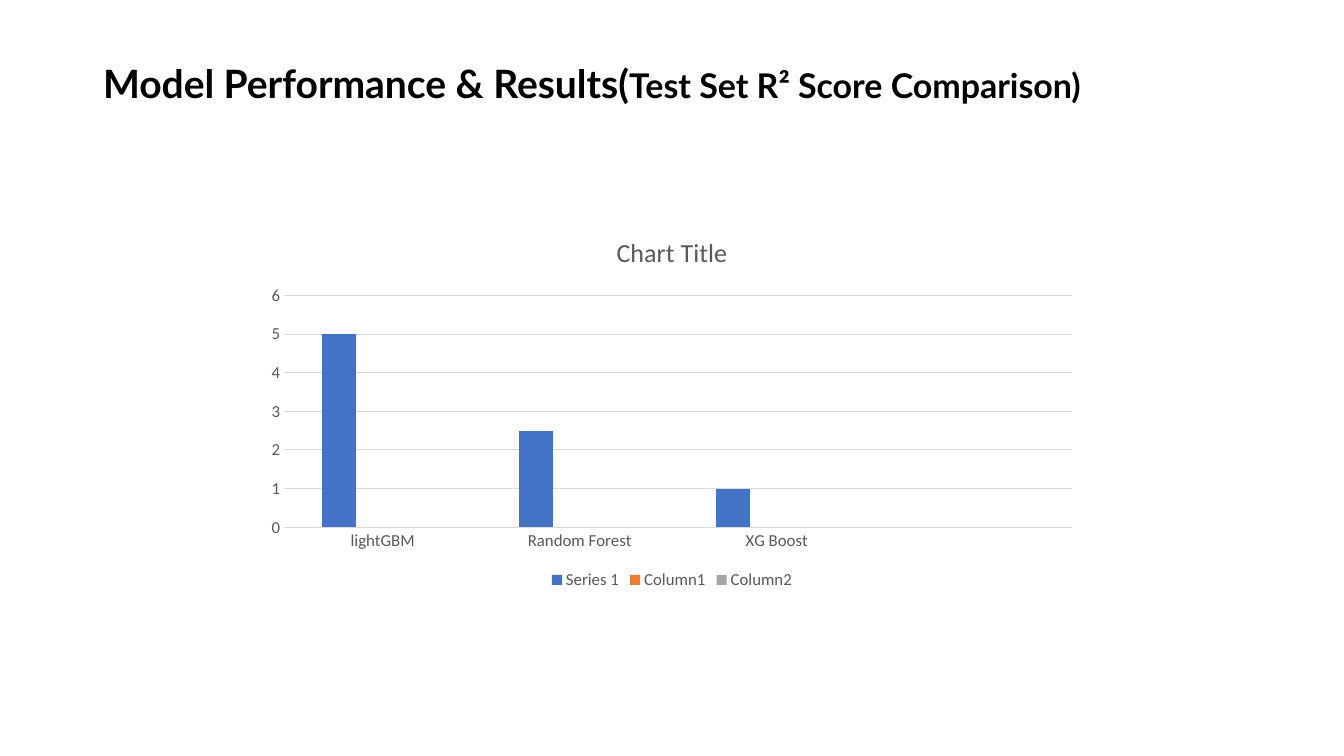
from pptx import Presentation
from pptx.chart.data import CategoryChartData
from pptx.dml.color import RGBColor
from pptx.enum.chart import XL_CHART_TYPE as ChartType, XL_LEGEND_POSITION as LegendPosition
from pptx.enum.chart import XL_TICK_MARK as TickMark
from pptx.enum.text import MSO_ANCHOR as Anchor, MSO_AUTO_SIZE as AutoSize, PP_ALIGN as Align
from pptx.util import Pt

PX = 914400 / 100.8
BLACK = RGBColor(0x00, 0x00, 0x00)
LABEL_GREY = RGBColor(0x59, 0x59, 0x59)
LINE_GREY = RGBColor(0xD9, 0xD9, 0xD9)
BLUE = RGBColor(0x44, 0x72, 0xC4)
ORANGE = RGBColor(0xED, 0x7D, 0x31)
GREY = RGBColor(0xA5, 0xA5, 0xA5)


def px(length):
    return round(length * PX)


def style_font(font, name, size, color, bold=False):
    font.name = name
    font.size = Pt(size)
    font.color.rgb = color
    font.bold = bold


presentation = Presentation()
presentation.slide_width, presentation.slide_height = px(1344), px(756)
slide = presentation.slides.add_slide(presentation.slide_layouts[5])

# Title
title = slide.shapes.title
title.left, title.top, title.width, title.height = px(93), px(49), px(1159), px(74)
frame = title.text_frame
frame.word_wrap = True
frame.auto_size = AutoSize.NONE
frame.vertical_anchor = Anchor.MIDDLE
paragraph = frame.paragraphs[0]
paragraph.alignment = Align.LEFT
paragraph.line_spacing = 0.9
for text, size in [("Model Performance & Results(", 27.9),
                   ("Test Set R² Score Comparison)", 24.3)]:
    run = paragraph.add_run()
    run.text = text
    style_font(run.font, "Lato", size, BLACK, bold=True)

# Score chart, with an empty fourth category
series_rows = [
    ("Series 1", [5, 2.5, 1, None], BLUE),
    ("Column1", [None] * 4, ORANGE),
    ("Column2", [None] * 4, GREY),
]
chart_data = CategoryChartData()
chart_data.categories = ["lightGBM", "Random Forest", "XG Boost", ""]
for name, values, color in series_rows:
    chart_data.add_series(name, values)
chart = slide.shapes.add_chart(
    ChartType.COLUMN_CLUSTERED, px(255), px(217), px(834), px(377), chart_data).chart
style_font(chart.font, "Calibri", 12, LABEL_GREY)

# Chart title and legend
chart.has_title = True
run = chart.chart_title.text_frame.paragraphs[0].add_run()
run.text = "Chart Title"
style_font(run.font, "Calibri", 18.6, LABEL_GREY)
chart.chart_title.include_in_layout = False
chart.has_legend = True
chart.legend.position = LegendPosition.BOTTOM
chart.legend.include_in_layout = False
style_font(chart.legend.font, "Calibri", 12, LABEL_GREY)

# Columns
plot = chart.plots[0]
plot.vary_by_categories = False
plot.gap_width = 219
plot.overlap = -27
for series, (name, values, color) in zip(plot.series, series_rows):
    series.format.fill.solid()
    series.format.fill.fore_color.rgb = color

# Axes and gridlines
category_axis, value_axis = chart.category_axis, chart.value_axis
for axis in (category_axis, value_axis):
    axis.major_tick_mark = TickMark.NONE
    axis.minor_tick_mark = TickMark.NONE
    style_font(axis.tick_labels.font, "Calibri", 12, LABEL_GREY)
value_axis.minimum_scale = 0
value_axis.maximum_scale = 6
value_axis.major_unit = 1
value_axis.has_major_gridlines = True
value_axis.format.line.fill.background()
for line in (category_axis.format.line, value_axis.major_gridlines.format.line):
    line.color.rgb = LINE_GREY
    line.width = Pt(0.75)

presentation.save("out.pptx")
